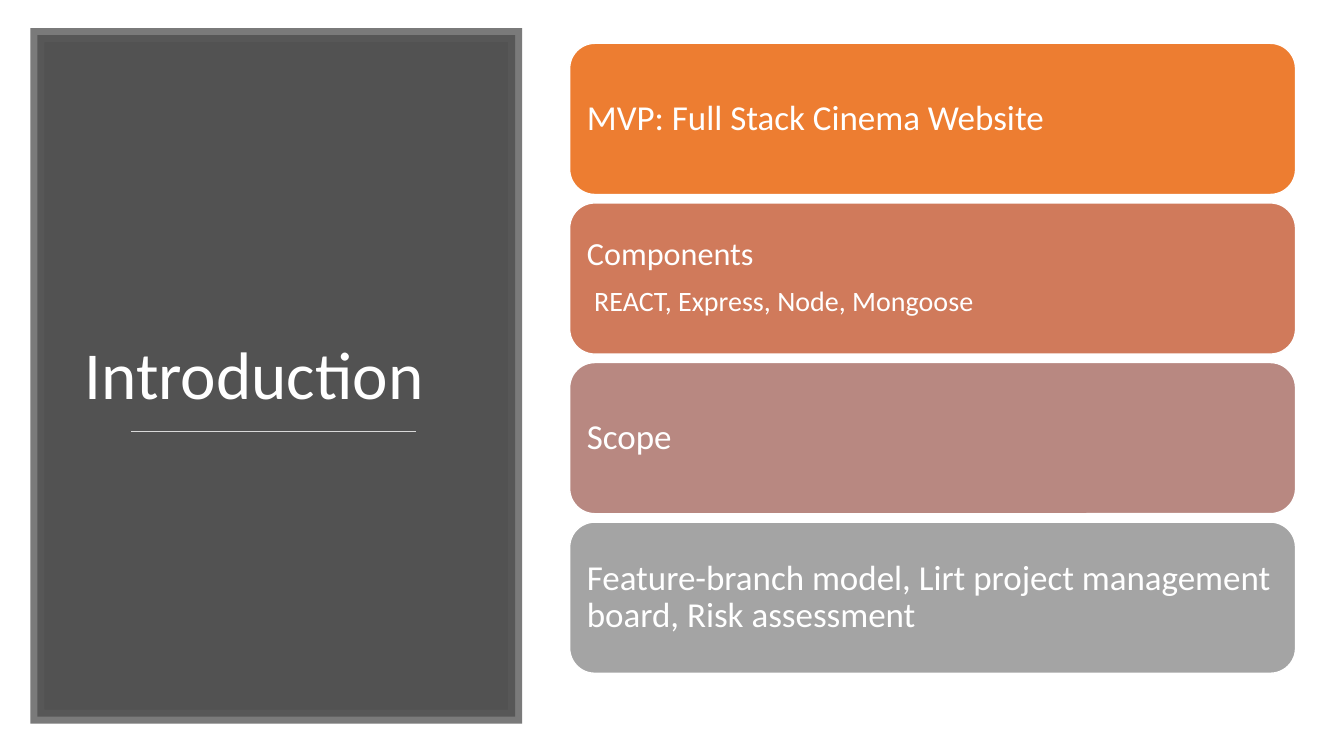
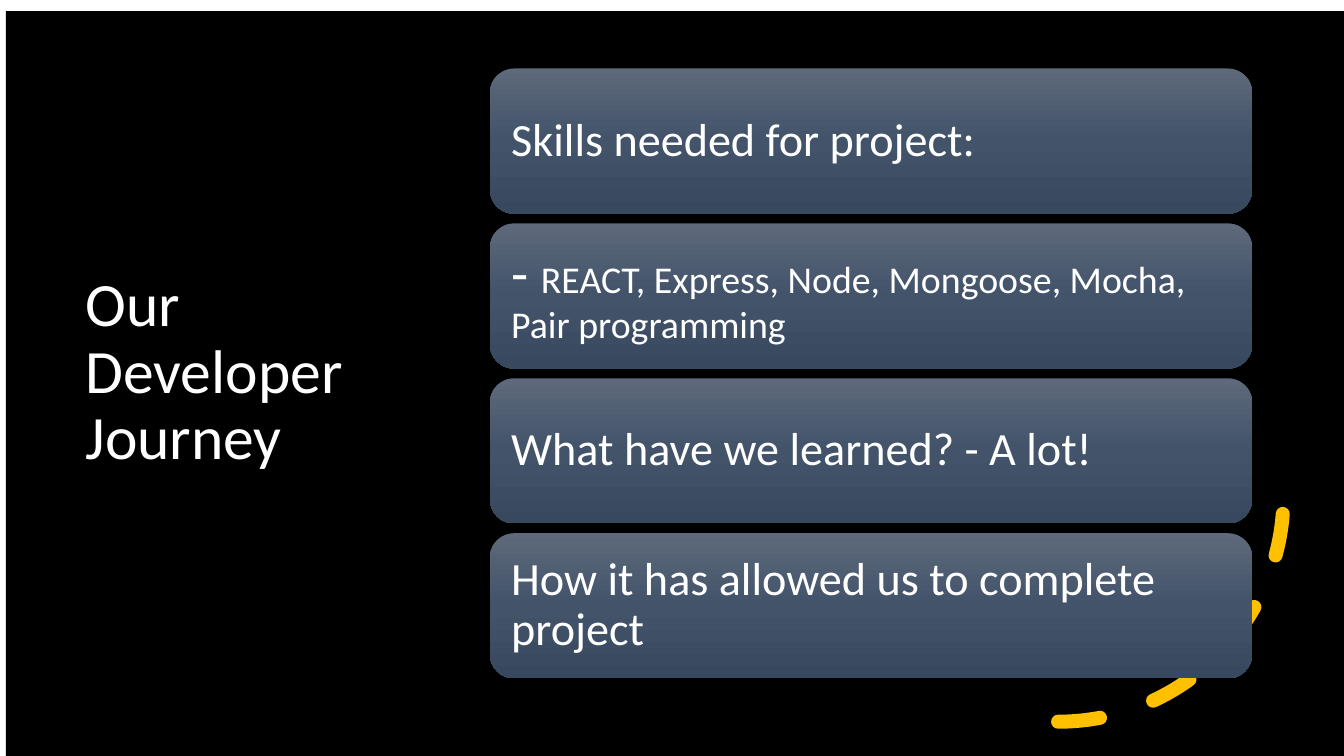
from lxml import etree
from pptx import Presentation, util as u
from pptx.dml.color import RGBColor
from pptx.enum import dml, shapes, text
from pptx.oxml import ns

# Shared style
FONT, WHITE, BLACK = "Calibri", "FFFFFF", "000000"
RULE, GOLD = "D9D9D9", "FFC000"
SLATE = [(0, "5E697B"), (50, "42536A"), (100, "38495F")]

# Content: each card is (fill, paragraphs), each paragraph a list of (words, size)
INTRO = {
    "title": ("Introduction", 48, (0.74, 1, 4, 3.16), text.MSO_ANCHOR.BOTTOM),
    "area": (5.65, 0.43, 7.2, 6.25), "card_height": 1.5,
    "inset": 0.1, "outline": WHITE,
    "cards": [
        ("ED7D31", [[("MVP: Full Stack Cinema Website", 25)]]),
        ("D07A5B", [[("Components", 23)],
                    [(" ", 23), ("REACT, Express, Node, Mongoose", 20)]]),
        ("B88881", [[("Scope", 25)]]),
        ("A4A4A4", [[("Feature-branch model, Lirt project management board, "
                      "Risk assessment", 25)]]),
    ],
}
JOURNEY = {
    "title": ("Our Developer Journey", 44, (0.75, 0.65, 3.5, 6.11),
              text.MSO_ANCHOR.MIDDLE),
    "area": (4.86, 0.68, 7.56, 6.05), "card_height": 1.44,
    "inset": 0.14, "outline": None,
    "cards": [
        (SLATE, [[("Skills needed for project:", 33)]]),
        (SLATE, [[("- ", 40), ("REACT, Express, Node, Mongoose, Mocha, "
                               "Pair programming", 27)]]),
        (SLATE, [[("What have we learned? - A lot!", 33)]]),
        (SLATE, [[("How it has allowed us to complete project", 33)]]),
    ],
}


def rgb(color):
    return RGBColor.from_string(color)


def assign(target, values):
    for name, value in values.items():
        setattr(target, name, value)


def child(parent, tag, **attributes):
    return etree.SubElement(parent, ns.qn(tag), attributes)


def fade(fill_owner, percent):
    """Set the opacity of the solid colour below an element."""
    color = fill_owner.find(ns.qn("a:solidFill"))[0]
    child(color, "a:alpha", val=str(percent * 1000))


def paint_gradient(shape, stops):
    """Fill a shape from top to bottom through any number of stops."""
    shape.fill.gradient()
    gradient = shape._element.spPr.find(ns.qn("a:gradFill"))
    for part in list(gradient):
        gradient.remove(part)
    stop_list = child(gradient, "a:gsLst")
    for position, color in stops:
        stop = child(stop_list, "a:gs", pos=str(position * 1000))
        child(stop, "a:srgbClr", val=color)
    child(gradient, "a:lin", ang="5400000", scaled="0")


def add_shape(page, kind, place, fill=None, line=None, width=1):
    shape = page.shapes.add_shape(kind, *map(u.Inches, place))
    shape.shadow.inherit = False
    if isinstance(fill, list):
        paint_gradient(shape, fill)
    elif fill:
        shape.fill.solid()
        shape.fill.fore_color.rgb = rgb(fill)
    else:
        shape.fill.background()
    if line:
        shape.line.color.rgb = rgb(line)
        shape.line.width = u.Pt(width)
    else:
        shape.line.fill.background()
    return shape


def write(shape, paragraphs, anchor, side, end):
    frame = shape.text_frame
    assign(frame, {"word_wrap": True, "vertical_anchor": anchor,
                   "margin_left": u.Inches(side), "margin_right": u.Inches(side),
                   "margin_top": u.Inches(end), "margin_bottom": u.Inches(end)})
    for index, runs in enumerate(paragraphs):
        para = frame.add_paragraph() if index else frame.paragraphs[0]
        assign(para, {"alignment": text.PP_ALIGN.LEFT, "line_spacing": 0.9,
                      "space_before": u.Pt(8 if index else 0)})
        for words, size in runs:
            span = para.add_run()
            span.text = words
            assign(span.font, {"name": FONT, "size": u.Pt(size)})
            span.font.color.rgb = rgb(WHITE)


def add_content(page, content):
    """Add the title and an evenly spaced column of cards."""
    words, size, place, anchor = content["title"]
    box = page.shapes.add_textbox(*map(u.Inches, place))
    write(box, [[(words, size)]], anchor, 0.1, 0.05)

    left, top, width, total = content["area"]
    cards, height, inset = content["cards"], content["card_height"], content["inset"]
    pitch = (total - height) / (len(cards) - 1)
    for index, (fill, paragraphs) in enumerate(cards):
        card = add_shape(page, shapes.MSO_SHAPE.ROUNDED_RECTANGLE,
                         (left, top + index * pitch, width, height),
                         fill, content["outline"])
        write(card, paragraphs, text.MSO_ANCHOR.MIDDLE, inset, inset)


def build_intro(page):
    # Translucent title panel with square corners
    panel = add_shape(page, shapes.MSO_SHAPE.RECTANGLE, (0.37, 0.35, 4.74, 6.76),
                      "404040", "595959", 10)
    properties = panel._element.spPr
    border = properties.find(ns.qn("a:ln"))
    fade(properties, 90)
    fade(border, 80)
    child(border, "a:miter", lim="800000")
    # Rule under the title
    rule = page.shapes.add_connector(shapes.MSO_CONNECTOR.STRAIGHT,
                                     *map(u.Inches, (1.3, 4.28, 4.13, 4.28)))
    rule.line.color.rgb = rgb(RULE)
    rule.line.width = u.Pt(1.25)
    child(rule._element.spPr, "a:effectLst")
    add_content(page, INTRO)


def build_journey(page):
    # Black backdrop
    add_shape(page, shapes.MSO_SHAPE.RECTANGLE, (0.06, 0.11, 13.27, 7.39), BLACK)
    # Dashed quarter circle, turned to the lower right
    arc = add_shape(page, shapes.MSO_SHAPE.ARC, (8.26, 2.69, 4.47, 4.47),
                    line=GOLD, width=10)
    arc.rotation = 180
    arc.line.dash_style = dml.MSO_LINE.DASH
    properties = arc._element.spPr
    properties.find(ns.qn("a:xfrm")).set("flipH", "1")
    properties.find(ns.qn("a:ln")).set("cap", "rnd")
    add_content(page, JOURNEY)


def main():
    deck = Presentation()
    assign(deck, {"slide_width": u.Inches(13.33), "slide_height": u.Inches(7.5)})
    for build in (build_intro, build_journey):
        build(deck.slides.add_slide(deck.slide_layouts[6]))
    deck.save("out.pptx")


if __name__ == "__main__":
    main()
